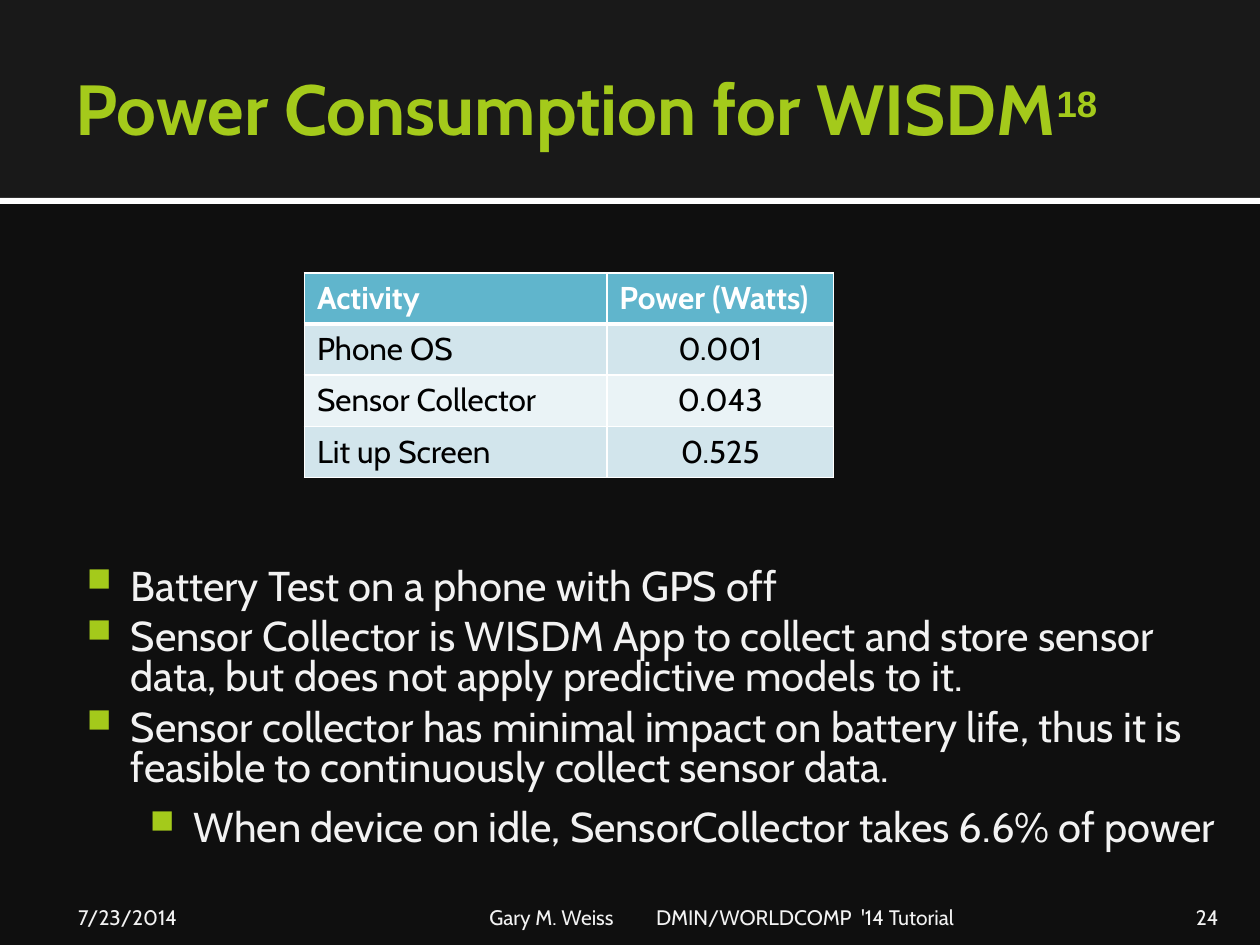
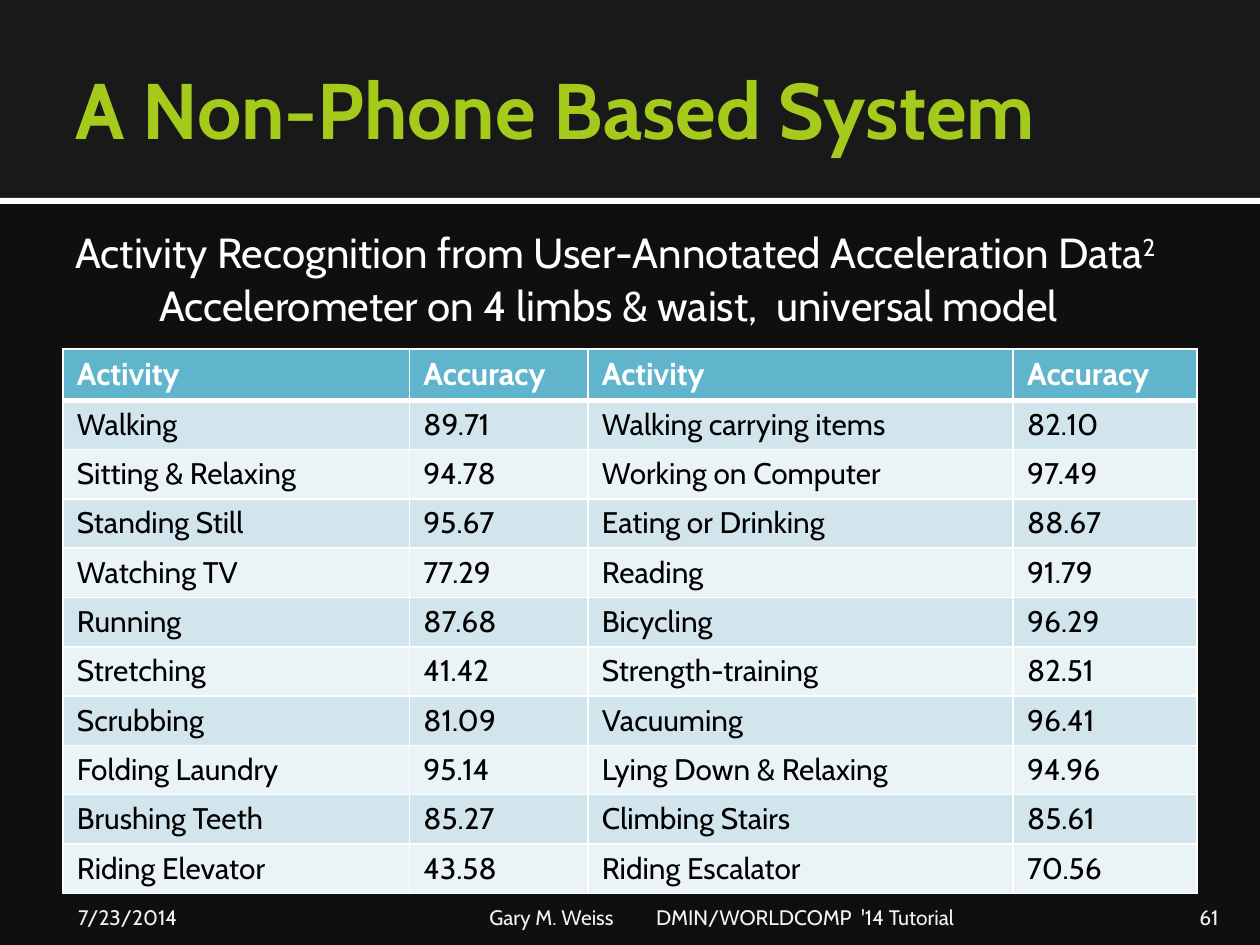
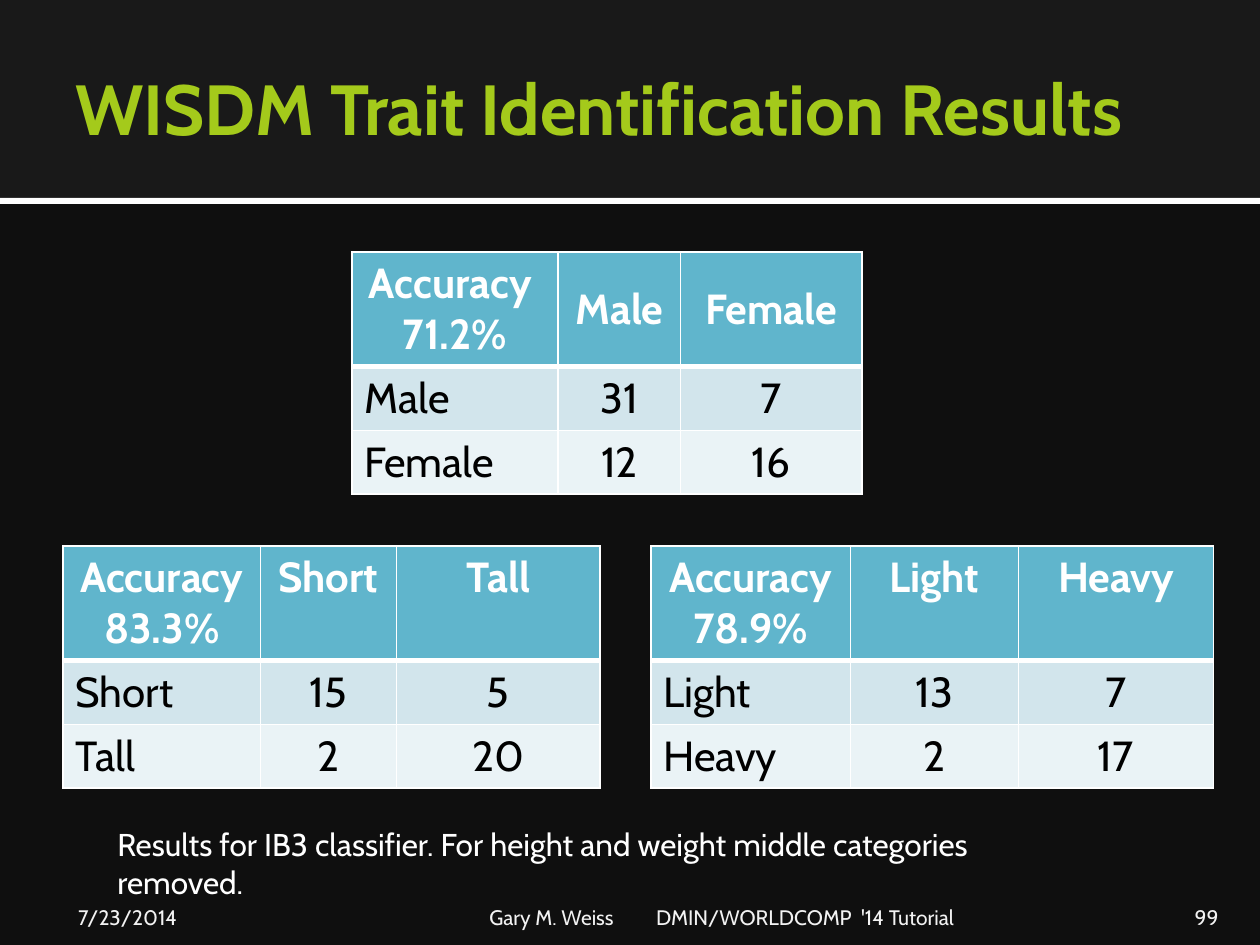
from lxml.etree import SubElement
from pptx import Presentation
from pptx.dml.color import RGBColor
from pptx.enum.shapes import MSO_SHAPE
from pptx.enum.text import MSO_ANCHOR, MSO_AUTO_SIZE, PP_ALIGN
from pptx.oxml.ns import qn
from pptx.util import Pt

COLORS = {
    "background": "0F0F0F",
    "band": "191919",
    "white": "FFFFFF",
    "black": "000000",
    "accent": "A4CA1B",
    "body": "F2F2F2",
    "header": "60B5CC",
    "odd_row": "D2E5EC",
    "even_row": "EAF3F6",
}
FONT = "Cabin"
TITLE_MARGINS = (7.2, 3.6, 3.6, 3.6)
BOX_MARGINS = (7.2, 3.6, 7.2, 3.6)
DATE = "7/23/2014"
EVENT = "Gary M. Weiss\tDMIN/WORLDCOMP  '14 Tutorial"


def rgb(name):
    """Return the named palette colour."""
    return RGBColor.from_string(COLORS[name])


def add_xml(parent, tag, **attributes):
    """Append a DrawingML child element and return it."""
    return SubElement(parent, qn(f"a:{tag}"), {key: str(value) for key, value in attributes.items()})


def format_run(run, size, color, bold, font=FONT):
    """Set the character format of a run."""
    run.font.size, run.font.bold, run.font.name = Pt(size), bold, font
    run.font.color.rgb = rgb(color)


def write_text(paragraph, text, size=24, color="white", bold=False, align=PP_ALIGN.LEFT,
               raised="", raised_size=None, raised_font=FONT):
    """Fill a paragraph with formatted text and an optional superscript."""
    paragraph.text = text
    paragraph.alignment = align
    for run in paragraph.runs:
        format_run(run, size, color, bold)
    if raised:
        run = paragraph.add_run()
        run.text = raised
        format_run(run, raised_size or size, color, bold, raised_font)
        run.font._element.set("baseline", "30000")


def set_frame(frame, margins, anchor):
    """Set wrapping, margins and anchoring of a text frame."""
    frame.word_wrap = True
    frame.auto_size = MSO_AUTO_SIZE.NONE
    frame.vertical_anchor = anchor
    frame.margin_left, frame.margin_top, frame.margin_right, frame.margin_bottom = map(Pt, margins)


def add_text(slide, box, text="", margins=BOX_MARGINS, anchor=MSO_ANCHOR.TOP, **text_format):
    """Add a text box and return its text frame."""
    frame = slide.shapes.add_textbox(*map(Pt, box)).text_frame
    set_frame(frame, margins, anchor)
    write_text(frame.paragraphs[0], text, **text_format)
    return frame


def add_bullets(slide, box, items):
    """Add a bulleted text box from pairs of level and text."""
    frame = add_text(slide, box, margins=(4.3, 7.2, 7.2, 3.6))
    for index, (level, text) in enumerate(items):
        paragraph = frame.add_paragraph() if index else frame.paragraphs[0]
        paragraph.level = level
        properties = paragraph._p.get_or_add_pPr()
        properties.set("marL", str(Pt(34.5 + 36 * level)))
        properties.set("indent", str(Pt(-25.2)))
        add_xml(add_xml(properties, "buClr"), "srgbClr", val=COLORS["accent"])
        add_xml(properties, "buSzPct", val=80000)
        add_xml(properties, "buChar", char="■")
        write_text(paragraph, text, size=23.8, color="body")
        paragraph.line_spacing = 1.0 if level else 0.8
        if index:
            paragraph.space_before = Pt(6)


def set_borders(cell, top, bottom):
    """Draw white borders around a table cell."""
    properties = cell._tc.get_or_add_tcPr()
    for side, width in (("L", 1), ("R", 1), ("T", top), ("B", bottom)):
        line = add_xml(properties, f"ln{side}", w=Pt(width))
        add_xml(add_xml(line, "solidFill"), "srgbClr", val=COLORS["white"])


def add_data_table(slide, position, widths, heights, rows, size=18, header_size=None, side_margin=7.2,
                   header_anchor=MSO_ANCHOR.TOP, header_align=PP_ALIGN.LEFT, value_align=PP_ALIGN.CENTER):
    """Add a table with a coloured header and alternating row fills."""
    frame = slide.shapes.add_table(len(rows), len(widths), *map(Pt, (*position, sum(widths), sum(heights))))
    table = frame.table
    for column, width in zip(table.columns, widths):
        column.width = Pt(width)
    for row, height in zip(table.rows, heights):
        row.height = Pt(height)
    for row_index, values in enumerate(rows):
        is_header = row_index == 0
        fill = "header" if is_header else "odd_row" if row_index % 2 else "even_row"
        for column_index, value in enumerate(values):
            cell = table.cell(row_index, column_index)
            set_borders(cell, 3 if row_index == 1 else 1, 3 if is_header else 1)
            cell.fill.solid()
            cell.fill.fore_color.rgb = rgb(fill)
            cell.margin_left = cell.margin_right = Pt(side_margin)
            cell.vertical_anchor = header_anchor if is_header else MSO_ANCHOR.TOP
            paragraph = cell.text_frame.paragraphs[0]
            if is_header:
                write_text(paragraph, value, size=header_size or size, bold=True, align=header_align)
            else:
                align = value_align if column_index else PP_ALIGN.LEFT
                write_text(paragraph, value, size=size, color="black", align=align)


def add_confusion_table(slide, position, widths, accuracy, labels, counts, **table_format):
    """Add a two-class confusion table with its accuracy."""
    rows = [[accuracy, *labels]] + [[label, *values] for label, values in zip(labels, counts)]
    add_data_table(slide, position, widths, (65.5, 36.2, 36.2), rows, size=24,
                   header_align=PP_ALIGN.CENTER, **table_format)


def add_band(slide, box, color):
    """Add a plain band behind everything else on the slide."""
    shape = slide.shapes.add_shape(MSO_SHAPE.RECTANGLE, *map(Pt, box))
    shape.shadow.inherit = False
    shape.fill.solid()
    shape.fill.fore_color.rgb = rgb(color)
    shape.line.fill.background()
    slide.shapes._spTree.insert(2, shape._element)


def add_footer(slide, number):
    """Add date, event and slide number along the bottom edge."""
    footer = {"anchor": MSO_ANCHOR.BOTTOM, "size": 12, "color": "body"}
    add_text(slide, (36, 510, 168, 21.5), DATE, margins=(8.6, 3.6, 3.6, 0), **footer)
    frame = add_text(slide, (276, 510, 366, 21.5), EVENT, margins=(3.6, 3.6, 3.6, 0), **footer)
    tabs = add_xml(frame.paragraphs[0]._p.get_or_add_pPr(), "tabLst")
    add_xml(tabs, "tab", pos=Pt(95.3), algn="l")
    add_text(slide, (646, 510, 57.5, 21.5), number, margins=(7.2, 3.6, 7.2, 0),
             align=PP_ALIGN.RIGHT, **footer)


def add_titled_slide(presentation, title, number, size=40.5, **title_format):
    """Add a slide with the shared bands, title style and footer."""
    slide = presentation.slides.add_slide(presentation.slide_layouts[5])
    add_band(slide, (0, 0, 720, 113), "band")
    add_band(slide, (0, 113, 720, 3.6), "white")
    shape = slide.shapes.title
    shape.left, shape.top, shape.width, shape.height = map(Pt, (36, 12, 648, 99))
    set_frame(shape.text_frame, TITLE_MARGINS, MSO_ANCHOR.MIDDLE)
    write_text(shape.text_frame.paragraphs[0], title, size=size, color="accent", bold=True, **title_format)
    add_footer(slide, number)
    return slide


def build_power_slide(presentation):
    """Build the power consumption slide."""
    slide = add_titled_slide(presentation, "Power Consumption for WISDM", "24",
                             raised="18", raised_size=36, raised_font="Arial")
    add_data_table(slide, (174, 156), (172.8, 129.6), [29.2] * 4, [
        ("Activity", "Power (Watts)"),
        ("Phone OS", "0.001"),
        ("Sensor Collector", "0.043"),
        ("Lit up Screen", "0.525"),
    ])
    add_bullets(slide, (36, 318, 666, 168), [
        (0, "Battery Test on a phone with GPS off"),
        (0, "Sensor Collector is WISDM App to collect and store sensor data, "
            "but does not apply predictive models to it."),
        (0, "Sensor collector has minimal impact on battery life, "
            "thus it is feasible to continuously collect sensor data."),
        (1, "When device on idle, SensorCollector takes 6.6% of power"),
    ])


def build_accuracy_slide(presentation):
    """Build the slide of accuracies per activity."""
    slide = add_titled_slide(presentation, "A Non-Phone Based System", "61", size=45)
    add_text(slide, (36, 126, 654, 36), "Activity Recognition from User-Annotated Acceleration Data", raised="2")
    add_text(slide, (84, 156, 558, 36), "Accelerometer on 4 limbs & waist,  universal model")
    rows = [
        ("Activity", "Accuracy", "Activity", "Accuracy"),
        ("Walking", "89.71", "Walking carrying items", "82.10"),
        ("Sitting & Relaxing", "94.78", "Working on Computer", "97.49"),
        ("Standing Still", "95.67", "Eating or Drinking", "88.67"),
        ("Watching TV", "77.29", "Reading", "91.79"),
        ("Running", "87.68", "Bicycling", "96.29"),
        ("Stretching", "41.42", "Strength-training", "82.51"),
        ("Scrubbing", "81.09", "Vacuuming", "96.41"),
        ("Folding Laundry", "95.14", "Lying Down & Relaxing", "94.96"),
        ("Brushing Teeth", "85.27", "Climbing Stairs", "85.61"),
        ("Riding Elevator", "43.58", "Riding Escalator", "70.56"),
    ]
    add_data_table(slide, (36, 199.5), (198, 102, 243, 105), [28.2] * len(rows), rows,
                   size=17, header_size=18, side_margin=8, value_align=PP_ALIGN.LEFT)


def build_trait_slide(presentation):
    """Build the slide of trait confusion tables."""
    slide = add_titled_slide(presentation, "WISDM Trait Identification Results", "99")
    add_confusion_table(slide, (201, 144), (118, 70, 103.5), "Accuracy \v71.2%", ("Male", "Female"),
                        (("31", "7"), ("12", "16")), header_anchor=MSO_ANCHOR.MIDDLE)
    add_confusion_table(slide, (36, 312), (113, 77.5, 116.5), "Accuracy\v83.3%", ("Short", "Tall"),
                        (("15", "5"), ("2", "20")))
    add_confusion_table(slide, (372, 312), (114, 96, 111.5), "Accuracy\v78.9%", ("Light", "Heavy"),
                        (("13", "7"), ("2", "17")))
    add_text(slide, (60, 468, 576, 29),
             "Results for IB3 classifier. For height and weight middle categories removed.", size=18)


def main():
    """Build and save the presentation."""
    presentation = Presentation()
    presentation.slide_width, presentation.slide_height = Pt(720), Pt(540)
    background = presentation.slide_master.background.fill
    background.solid()
    background.fore_color.rgb = rgb("background")
    build_power_slide(presentation)
    build_accuracy_slide(presentation)
    build_trait_slide(presentation)
    presentation.save("out.pptx")


if __name__ == "__main__":
    main()
